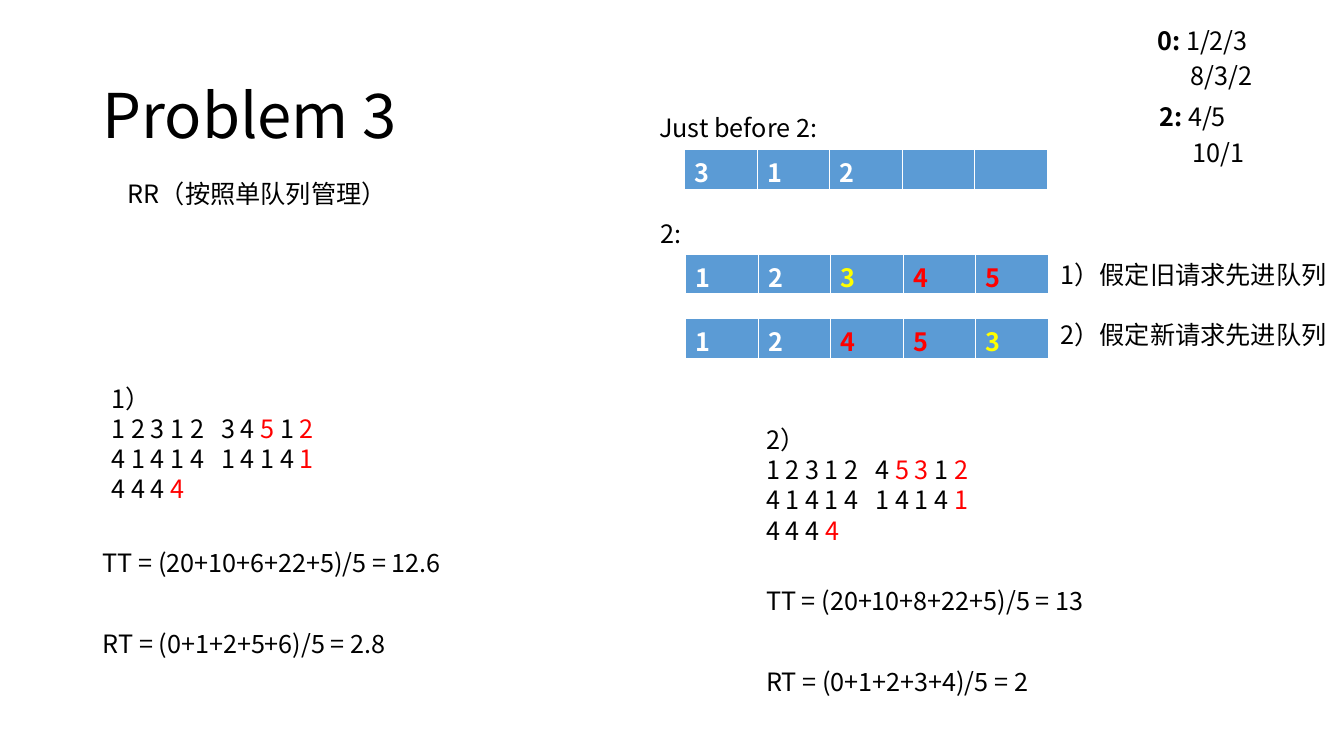
from lxml.etree import SubElement as Sub
from pptx import Presentation
from pptx.dml.color import RGBColor as RGB
from pptx.enum.text import MSO_ANCHOR as Anchor
from pptx.oxml.ns import qn
from pptx.util import Pt

PX = 9144
BLACK = RGB(0x00, 0x00, 0x00)
WHITE = RGB(0xFF, 0xFF, 0xFF)
RED = RGB(0xFF, 0x00, 0x00)
YELLOW = RGB(0xFF, 0xFF, 0x00)
BLUE = RGB(0x5B, 0x9B, 0xD5)
EDGES = {"a:lnL": 1, "a:lnR": 1, "a:lnT": 1, "a:lnB": 3}


class Board:
    """Holds the text style and the current slide, and draws its elements."""

    font = "Noto Sans CJK SC"
    size = 18
    lead = 1.2

    def __init__(self, deck):
        self.slide = deck.slides.add_slide(deck.slide_layouts[6])

    def scale(self, *box):
        return [n * PX for n in box]

    def put(self, para, runs, size, color=BLACK, bold=False):
        para.line_spacing = Pt(size * self.lead)
        for text, form in runs:
            run = para.add_run()
            run.text = text
            look = {"name": self.font, "size": Pt(size), "bold": bold}
            look.update(form)
            run.font.color.rgb = look.pop("color", color)
            for key, value in look.items():
                setattr(run.font, key, value)
            Sub(run._r.get_or_add_rPr(), qn("a:ea"), typeface=self.font)

    def text(self, box, lines, size=size, gap=0, anchor=Anchor.TOP):
        frame = self.slide.shapes.add_textbox(*self.scale(*box)).text_frame
        frame.word_wrap = True
        frame.vertical_anchor = anchor
        for i, runs in enumerate(lines):
            para = frame.add_paragraph() if i else frame.paragraphs[0]
            para.space_before = Pt(gap if i else 0)
            self.put(para, runs, size)

    def line(self, box, words, **form):
        self.text(box, [[(words, {})]], **form)

    def queue(self, x, y, jobs, wide=72, high=41):
        box = self.scale(x, y, wide * len(jobs), high)
        table = self.slide.shapes.add_table(1, len(jobs), *box).table
        for col, cell, (job, color) in zip(table.columns, table.rows[0].cells, jobs):
            col.width = wide * PX
            cell.margin_top, cell.margin_bottom = self.scale(10, 0)
            self.edge(cell)
            cell.fill.solid()
            cell.fill.fore_color.rgb = BLUE
            runs = [(job, {})] if job else []
            self.put(cell.text_frame.paragraphs[0], runs, self.size, color, True)

    def edge(self, cell):
        props = cell._tc.get_or_add_tcPr()
        for tag, width in EDGES.items():
            side = Sub(props, qn(tag), w=str(Pt(width)))
            Sub(Sub(side, qn("a:solidFill")), qn("a:srgbClr"), val=str(WHITE))

    def trace(self, x, y, first, sums):
        red = {"color": RED}
        lines = [
            first,
            [("4 1 4 1 4   1 4 1 4 ", {}), ("1", red)],
            [("4 4 4 ", {}), ("4", red)],
        ]
        shift, top, label = sums[0]
        self.text((x, y, 361, 131), [[(label, {})]] + lines)
        for i, words in enumerate(sums[1:]):
            self.line((x + shift, y + top + 80 * i, 775, 40), words)


def main():
    deck = Presentation()
    deck.slide_width, deck.slide_height = 1333 * PX, 750 * PX
    board = Board(deck)
    red, bold = {"color": RED}, {"bold": True}

    board.line((92, 40, 1150, 145), "Problem 3", size=44, anchor=Anchor.MIDDLE)
    board.line((117, 172, 288, 40), "RR（按照单队列管理）")

    arrivals = [(1138, 20, "0: ", "1/2/3", "8/3/2"), (1140, 96, "2: ", "4/5", "10/1")]
    for x, y, time, jobs, costs in arrivals:
        board.text((x, y, 162, 40), [[(time, bold), (jobs, {})]])
        board.line((x + 33, y + 35, 162, 40), costs)

    board.line((644, 107, 273, 40), "Just before 2:")
    board.line((645, 212, 273, 40), "2:")
    one, two = ("1", WHITE), ("2", WHITE)
    old, four, five = ("3", YELLOW), ("4", RED), ("5", RED)
    none = ("", WHITE)
    board.queue(679, 148, [("3", WHITE), one, two, none, none])
    board.queue(680, 252, [one, two, old, four, five])
    board.queue(680, 316, [one, two, four, five, old])
    notes = ["1）假定旧请求先进队列", "2）假定新请求先进队列"]
    board.text((1042, 252, 303, 101), [[(note, {})] for note in notes], gap=21.6)

    board.trace(
        101, 375,
        [("1 2 3 1 2   3 4 ", {}), ("5", red), (" 1 ", {}), ("2", red)],
        [(-9, 163, "1）"), "TT = (20+10+6+22+5)/5 = 12.6", "RT = (0+1+2+5+6)/5 = 2.8"],
    )
    board.trace(
        750, 416,
        [("1 2 3 1 2   4 ", {}), ("5 3", red), (" 1 ", {}), ("2", red)],
        [(0, 160, "2）"), "TT = (20+10+8+22+5)/5 = 13", "RT = (0+1+2+3+4)/5 = 2"],
    )
    deck.save("out.pptx")


if __name__ == "__main__":
    main()
